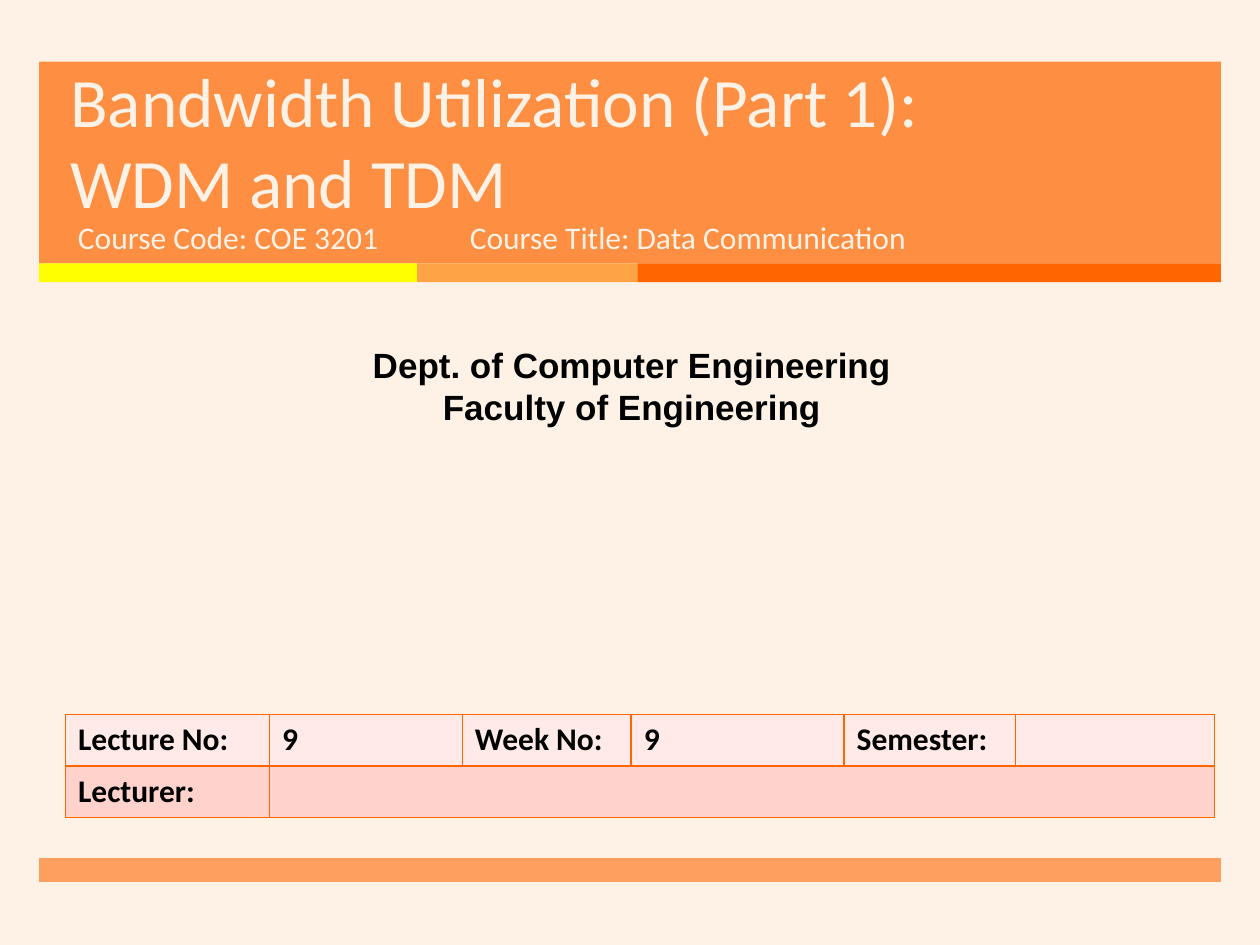
import pptx
import pptx.util
import pptx.dml.color
import pptx.enum.shapes
import pptx.enum.text
import pptx.oxml
import pptx.oxml.ns
from lxml import etree

Inches = pptx.util.Inches
Pt = pptx.util.Pt
RGB = pptx.dml.color.RGBColor
ALIGN = pptx.enum.text.PP_ALIGN
ANCHOR = pptx.enum.text.MSO_ANCHOR
qn = pptx.oxml.ns.qn

CREAM = RGB(0xFE, 0xF2, 0xE6)
ORANGE = RGB(0xFF, 0x7D, 0x26)
YELLOW = RGB(0xFF, 0xFF, 0x00)
AMBER = RGB(0xFF, 0xA3, 0x47)
DEEP = RGB(0xFF, 0x66, 0x00)
BLACK = RGB(0, 0, 0)
PALE = RGB(0xFF, 0xEA, 0xE7)
PINK = RGB(0xFF, 0xD3, 0xCC)

LEFT, WIDTH = 0.31, 9.38
COLS = [1.62, 1.53, 1.34, 1.69, 1.36, 1.58]
ROWS = [
    (["Lecture No:", "9", "Week No:", "9", "Semester:", ""], PALE),
    (["Lecturer:", "", "", "", "", ""], PINK),
]


def write(frame, text, size=18, color=CREAM, font="Calibri", bold=False,
          align=ALIGN.LEFT, pitch=None):
    for i, line in enumerate(text.split("\n")):
        para = frame.paragraphs[0] if i == 0 else frame.add_paragraph()
        para.alignment = align
        if pitch:
            para.line_spacing = Pt(pitch)
        para.font.size = Pt(size)
        if not line:
            continue
        run = para.add_run()
        run.text = line
        run.font.size = Pt(size)
        run.font.name = font
        run.font.bold = bold
        run.font.color.rgb = color


def add_text(slide, box, text, anchor=ANCHOR.TOP, **style):
    frame = slide.shapes.add_textbox(*map(Inches, box)).text_frame
    frame.word_wrap = True
    frame.vertical_anchor = anchor
    write(frame, text, **style)


def add_bar(slide, box, color, alpha=None):
    kind = pptx.enum.shapes.MSO_SHAPE.RECTANGLE
    bar = slide.shapes.add_shape(kind, *map(Inches, box))
    bar.shadow.inherit = False
    bar.line.fill.background()
    bar.fill.solid()
    bar.fill.fore_color.rgb = color
    if alpha:
        tint = bar._element.spPr.find(qn("a:solidFill"))[0]
        etree.SubElement(tint, qn("a:alpha")).set("val", str(alpha * 1000))


def add_edges(cell):
    props = cell._tc.get_or_add_tcPr()
    for i, side in enumerate(("lnL", "lnR", "lnT", "lnB")):
        edge = etree.Element(qn("a:" + side), w=str(Pt(1)))
        fill = etree.SubElement(edge, qn("a:solidFill"))
        etree.SubElement(fill, qn("a:srgbClr")).set("val", str(DEEP))
        props.insert(i, edge)


def add_grid(slide, left, top, height):
    frame = slide.shapes.add_table(
        len(ROWS), len(COLS), Inches(left), Inches(top),
        Inches(sum(COLS)), Inches(height * len(ROWS)))
    table = frame.table
    for col, width in zip(table.columns, COLS):
        col.width = Inches(width)
    for r, (words, color) in enumerate(ROWS):
        table.rows[r].height = Inches(height)
        for c, word in enumerate(words):
            cell = table.cell(r, c)
            cell.fill.solid()
            cell.fill.fore_color.rgb = color
            add_edges(cell)
            write(cell.text_frame, word, color=BLACK, bold=True)
    table.cell(1, 1).merge(table.cell(1, len(COLS) - 1))


def main():
    deck = pptx.Presentation()
    deck.slide_width, deck.slide_height = Inches(10), Inches(7.5)
    slide = deck.slides.add_slide(deck.slide_layouts[6])
    slide.background.fill.solid()
    slide.background.fill.fore_color.rgb = CREAM

    add_bar(slide, (LEFT, 0.49, WIDTH, 1.6), ORANGE, alpha=85)
    left = LEFT
    for width, color in ((3, YELLOW), (1.75, AMBER), (4.63, DEEP)):
        add_bar(slide, (left, 2.09, width, 0.15), color)
        left += width
    add_bar(slide, (LEFT, 6.81, WIDTH, 0.19), ORANGE, alpha=70)

    add_text(slide, (0.46, 0.62, 7.72, 1.19),
             "Bandwidth Utilization (Part 1): WDM and TDM",
             anchor=ANCHOR.BOTTOM, size=39.6, pitch=46)
    add_text(slide, (0.52, 1.68, 3.05, 0.53), "Course Code: COE 3201")
    add_text(slide, (3.63, 1.68, 4.55, 0.53),
             "Course Title: Data Communication")
    add_text(slide, (0.08, 2.68, 9.87, 0.77),
             "Dept. of Computer Engineering\nFaculty of Engineering",
             size=20, color=BLACK, font="Arial", bold=True,
             align=ALIGN.CENTER)
    add_grid(slide, 0.52, 5.67, 0.41)
    deck.save("out.pptx")


if __name__ == "__main__":
    main()
